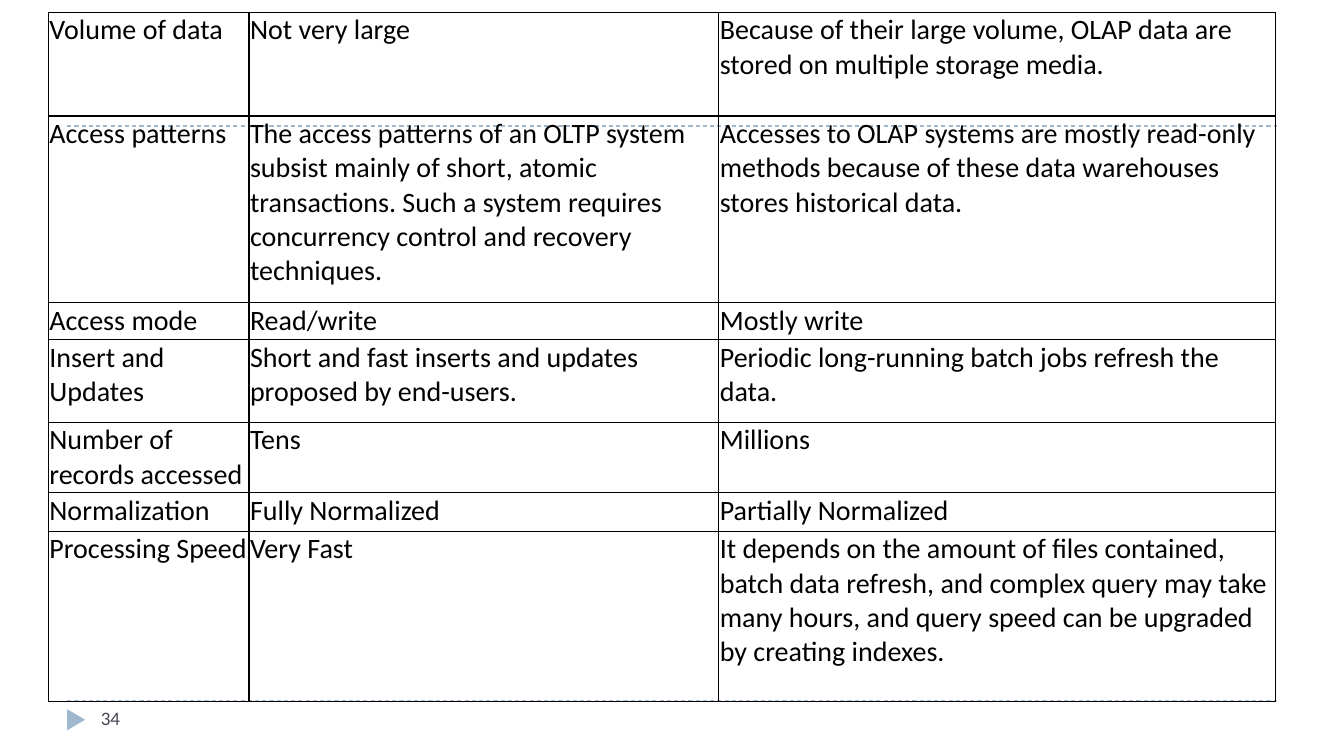
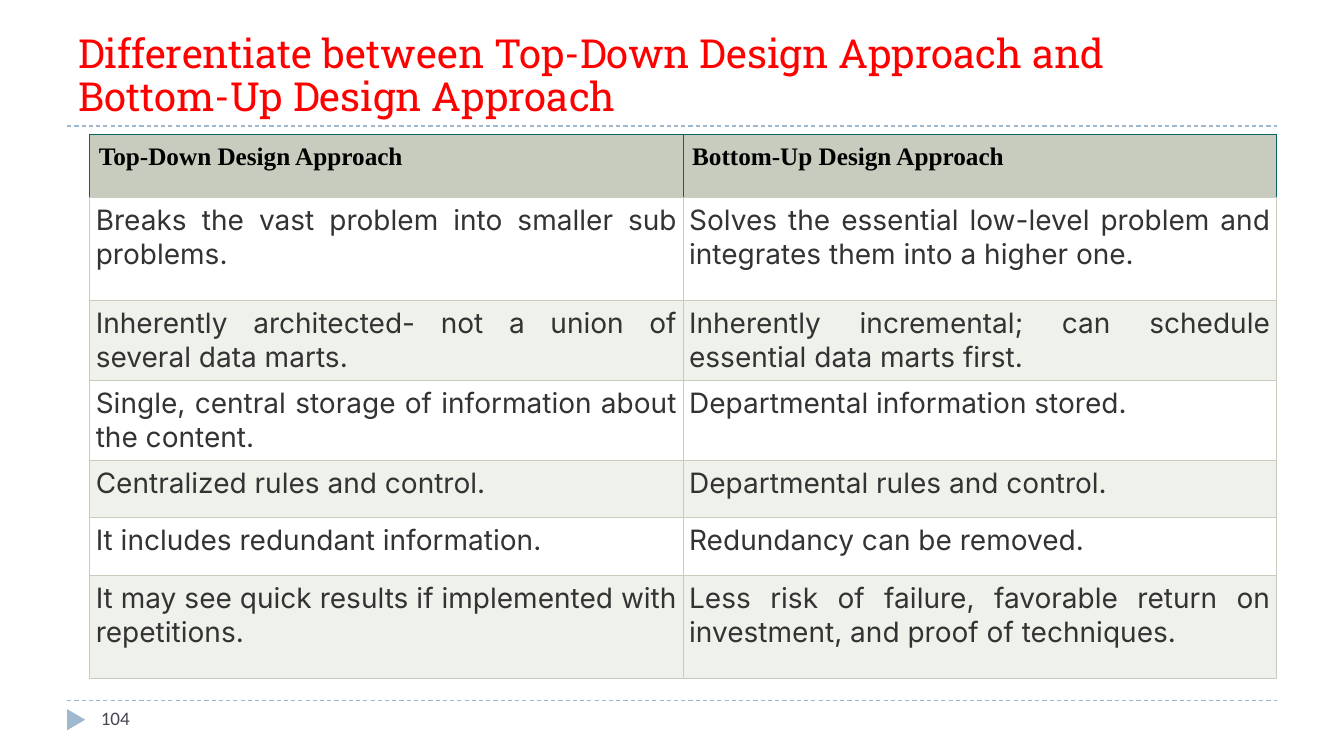
from dataclasses import dataclass

from lxml import etree
from pptx import Presentation
from pptx.dml.color import RGBColor
from pptx.enum.dml import MSO_LINE
from pptx.enum.shapes import MSO_CONNECTOR, MSO_SHAPE
from pptx.enum.text import MSO_ANCHOR, PP_ALIGN
from pptx.oxml.ns import qn
from pptx.util import Inches, Pt

TOP, BOTTOM = MSO_ANCHOR.TOP, MSO_ANCHOR.BOTTOM
LEFT, JUSTIFY = PP_ALIGN.LEFT, PP_ALIGN.JUSTIFY
STRAIGHT, TRIANGLE, DASH = MSO_CONNECTOR.STRAIGHT, MSO_SHAPE.ISOSCELES_TRIANGLE, MSO_LINE.DASH

SLIDE_W, SLIDE_H = 13.33, 7.5
MARGIN = SLIDE_W / 20
CONTENT_W = 0.9 * SLIDE_W
TITLE_RULE_Y = SLIDE_H / 6
FOOT_RULE_Y = 6.95


@dataclass(frozen=True)
class Theme:
    accent: str = "9FB8CD"
    black: str = "000000"
    sage: str = "C7CCBE"
    pale_sage: str = "EFF1EB"
    white: str = "FFFFFF"
    teal: str = "086366"


THEME = Theme()
FONTS = {
    "title": {"name": "Roboto Slab", "size": 28.6, "color": "FF0000"},
    "page": {"name": "Calibri", "size": 13.6, "color": "464653"},
    "plain": {"name": "Calibri", "size": 20, "color": THEME.black},
    "head": {"name": "Times New Roman", "size": 18, "color": THEME.black, "bold": True},
    "body": {"name": "Inter", "size": 20, "color": "333333", "bold": False},
}


@dataclass(frozen=True)
class CellStyle:
    """Look of one table row; edges holds colours for left, right, top, bottom."""
    font: str
    inset: float
    edges: tuple
    fill: str = ""
    align: PP_ALIGN = LEFT
    edge_pt: float = 0.75


GRID_ROW = CellStyle("plain", 0.01, (THEME.black,) * 4, edge_pt=1)
HEAD_ROW = CellStyle("head", 0.09, (THEME.teal,) * 3 + (THEME.sage,), THEME.sage)
BAND_ROWS = [CellStyle("body", 0.06, (THEME.sage,) * 4, fill, JUSTIFY)
             for fill in (THEME.white, THEME.pale_sage)]

OLAP_ROWS = [
    ("Volume of data", "Not very large",
     "Because of their large volume, OLAP data are stored on multiple storage media."),
    ("Access patterns",
     "The access patterns of an OLTP system subsist mainly of short, atomic transactions. "
     "Such a system requires concurrency control and recovery techniques.",
     "Accesses to OLAP systems are mostly read-only methods because of these data "
     "warehouses stores historical data."),
    ("Access mode", "Read/write", "Mostly write"),
    ("Insert and Updates", "Short and fast inserts and updates proposed by end-users.",
     "Periodic long-running batch jobs refresh the data."),
    ("Number of records accessed", "Tens", "Millions"),
    ("Normalization", "Fully Normalized", "Partially Normalized"),
    ("Processing Speed", "Very Fast",
     "It depends on the amount of files contained, batch data refresh, and complex query "
     "may take many hours, and query speed can be upgraded by creating indexes."),
]

DESIGN_ROWS = [
    ("Top-Down Design Approach", "Bottom-Up Design Approach"),
    ("Breaks the vast problem into smaller sub problems.",
     "Solves the essential low-level problem and integrates them into a higher one."),
    ("Inherently architected- not a union of several data marts.",
     "Inherently incremental; can schedule essential data marts first."),
    ("Single, central storage of information about the content.",
     "Departmental information stored."),
    ("Centralized rules and control.", "Departmental rules and control."),
    ("It includes redundant information.", "Redundancy can be removed."),
    ("It may see quick results if implemented with repetitions.",
     "Less risk of failure, favorable return on investment, and proof of techniques."),
]


def rgb(color):
    return RGBColor.from_string(color)


def inches(*lengths):
    return [Inches(n) for n in lengths]


def write(p, text, font):
    r = p.add_run()
    r.text = text
    for key, value in FONTS[font].items():
        if key == "color":
            r.font.color.rgb = rgb(value)
        else:
            setattr(r.font, key, Pt(value) if key == "size" else value)


def set_margins(target, x, y):
    for side, inset in {"left": x, "right": x, "top": y, "bottom": y}.items():
        setattr(target, f"margin_{side}", Inches(inset))


def add_text(slide, box, text, font, anchor=TOP, spacing=1.0):
    tf = slide.shapes.add_textbox(*inches(*box)).text_frame
    tf.word_wrap = True
    tf.vertical_anchor = anchor
    set_margins(tf, 0.11, 0.06)
    p = tf.paragraphs[0]
    p.line_spacing = spacing
    write(p, text, font)


def add_rule(slide, y):
    line = slide.shapes.add_connector(
        STRAIGHT, *inches(MARGIN, y, MARGIN + CONTENT_W, y))
    line.line.color.rgb = rgb(THEME.accent)
    line.line.width = Pt(0.75)
    line.line.dash_style = DASH
    etree.SubElement(line._element.spPr, qn("a:effectLst"))


def add_frame(slide, page):
    """Dashed rules, page marker and page number."""
    for y in (FOOT_RULE_Y, TITLE_RULE_Y):
        add_rule(slide, y)
    sp = slide.shapes.add_shape(TRIANGLE, *inches(0.65, FOOT_RULE_Y + 0.1, 0.21, 0.18))
    sp.rotation = 90
    sp.shadow.inherit = False
    sp.fill.solid()
    sp.fill.fore_color.rgb = rgb(THEME.accent)
    sp.line.fill.background()
    add_text(slide, (0.89, FOOT_RULE_Y, 2.89, 0.4), page, "page")


def add_title(slide, text):
    box = (MARGIN, 0.17, CONTENT_W, TITLE_RULE_Y - 0.17)
    add_text(slide, box, text, "title", BOTTOM, 0.9)


def set_edges(cell, colors, width):
    tc_pr = cell._tc.get_or_add_tcPr()
    for i, (side, color) in enumerate(zip("LRTB", colors)):
        ln = etree.Element(qn(f"a:ln{side}"), w=str(Pt(width)))
        fill = etree.SubElement(ln, qn("a:solidFill"))
        etree.SubElement(fill, qn("a:srgbClr"), val=color)
        tc_pr.insert(i, ln)


def fill_cell(cell, text, style):
    set_margins(cell, style.inset, style.inset)
    cell.vertical_anchor = TOP
    if style.fill:
        cell.fill.solid()
        cell.fill.fore_color.rgb = rgb(style.fill)
    else:
        cell.fill.background()
    set_edges(cell, style.edges, style.edge_pt)
    p = cell.text_frame.paragraphs[0]
    p.alignment = style.align
    write(p, text, style.font)


def add_grid(slide, box, rows, col_shares, row_shares, styles):
    """Table whose columns and rows split the box in proportion to the shares."""
    table = slide.shapes.add_table(len(rows), len(col_shares), *inches(*box)).table
    table.first_row = table.horz_banding = False
    for col, share in zip(table.columns, col_shares):
        col.width = Inches(box[2] * share / sum(col_shares))
    for row, share in zip(table.rows, row_shares):
        row.height = Inches(box[3] * share / sum(row_shares))
    for row, texts, style in zip(table.rows, rows, styles):
        for cell, text in zip(row.cells, texts):
            fill_cell(cell, text, style)


def olap_slide(slide):
    add_frame(slide, "34")
    add_grid(slide, (0.48, 0.12, 12.17, 6.84), OLAP_ROWS, (1.99, 4.66, 5.52),
             (1.03, 1.85, 0.37, 0.82, 0.7, 0.38, 1.69), [GRID_ROW] * len(OLAP_ROWS))


def design_slide(slide):
    add_frame(slide, "104")
    add_title(slide, "Differentiate between Top-Down Design Approach and "
                     "Bottom-Up Design Approach")
    styles = [HEAD_ROW] + [BAND_ROWS[i % 2] for i in range(len(DESIGN_ROWS) - 1)]
    add_grid(slide, (0.89, 1.33, 11.77, 5.4), DESIGN_ROWS, (1, 1),
             (0.63, 1.02, 0.79, 0.79, 0.57, 0.57, 1.02), styles)


def main():
    prs = Presentation()
    prs.slide_width, prs.slide_height = inches(SLIDE_W, SLIDE_H)
    blank = prs.slide_layouts[6]
    for build in (olap_slide, design_slide):
        build(prs.slides.add_slide(blank))
    prs.save("out.pptx")


if __name__ == "__main__":
    main()
